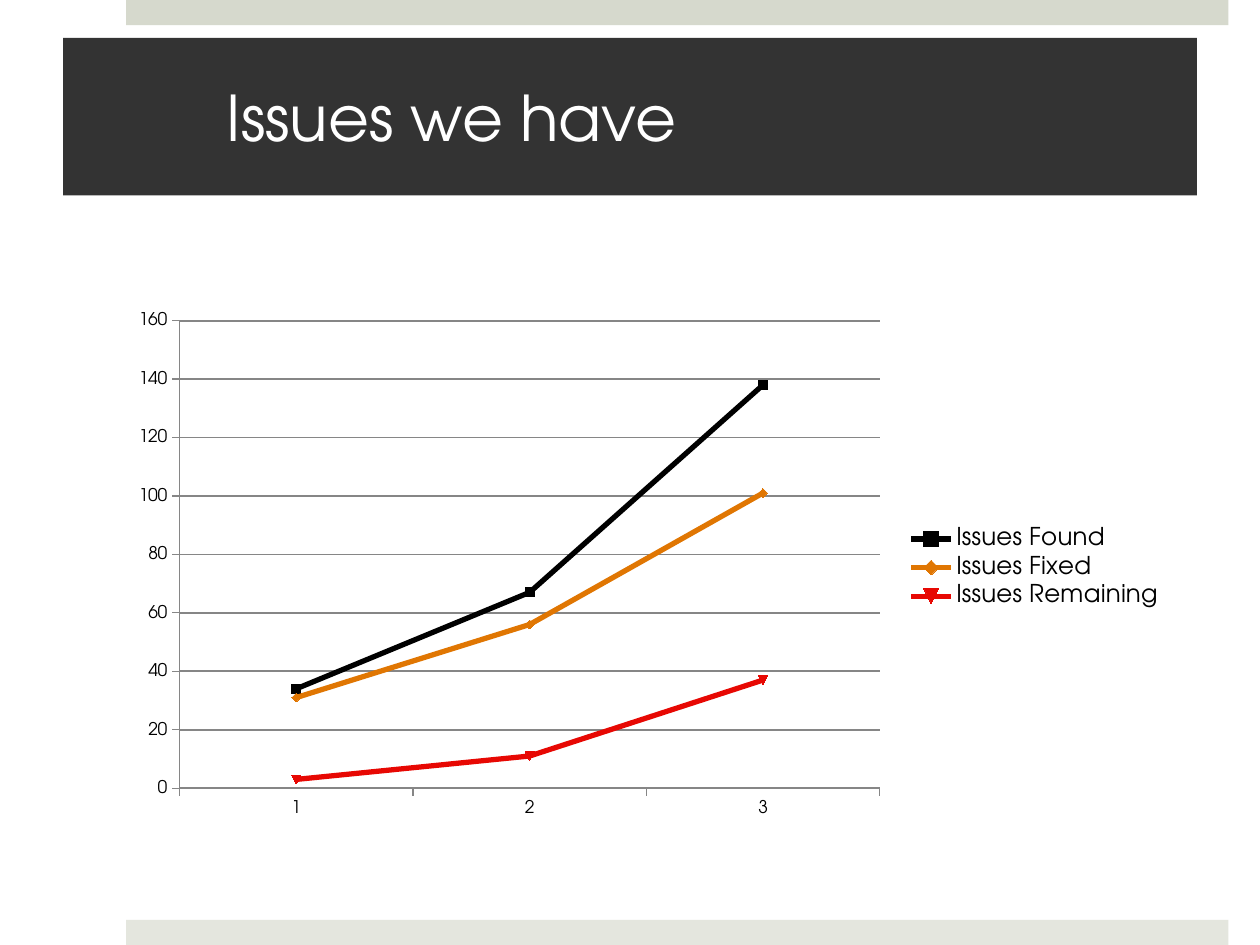
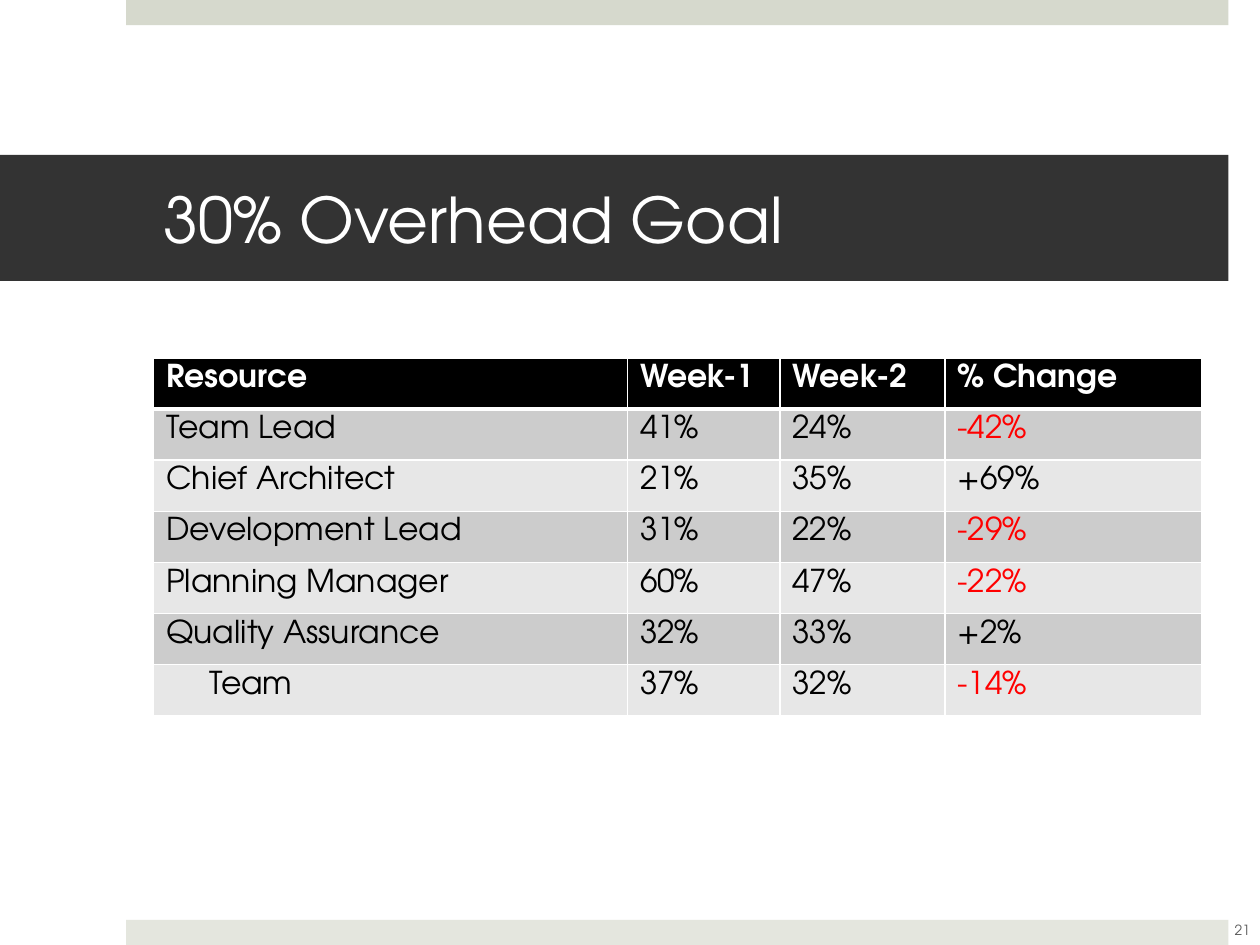
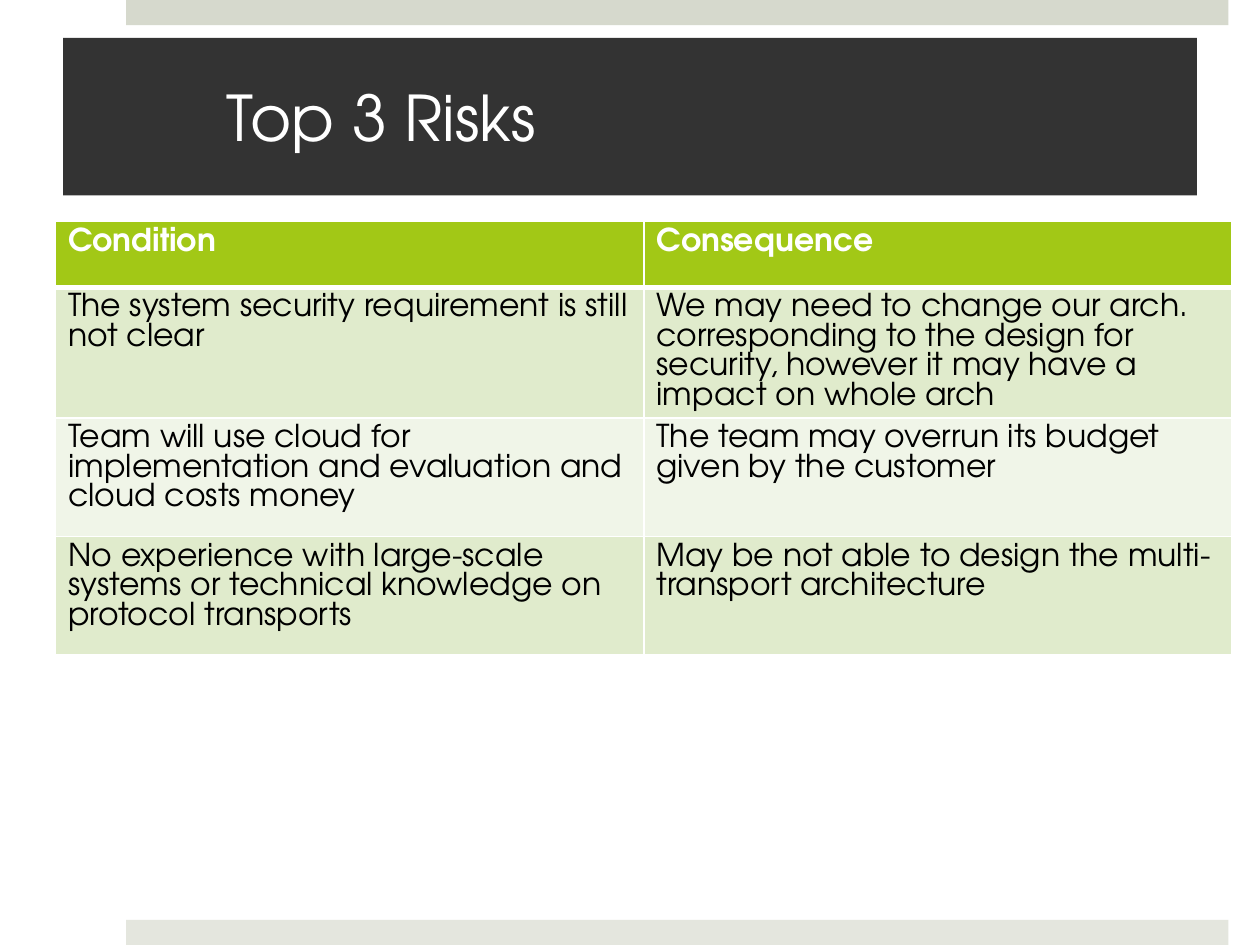
from dataclasses import dataclass

from lxml import etree
from pptx import Presentation, util as u
from pptx.chart import data as chart_data
from pptx.dml.color import RGBColor
from pptx.enum import chart as ec, shapes, text
from pptx.oxml import parse_xml
from pptx.oxml.ns import nsdecls, qn


@dataclass(frozen=True)
class Theme:
    font: str = "TeX Gyre Adventor"
    title_size: float = 36
    table_size: float = 18
    legend_size: float = 14
    axis_size: float = 10
    number_size: float = 8
    white: str = "FFFFFF"
    black: str = "000000"
    title_fill: str = "333333"
    top_band: str = "D6D9CD"
    bottom_band: str = "E4E6DE"
    number: str = "595959"
    grid: str = "868686"
    negative: str = "FF0000"
    fixed: str = "E07602"
    remaining: str = "E70803"


T = Theme()
WIDTH, HEIGHT = u.Inches(10), u.Inches(7.5)
COLUMNS, ROWS = 100, 75


@dataclass(frozen=True)
class Box:
    col: float
    row: float
    cols: float
    rows: float

    def emu(self) -> tuple:
        return across(self.col), down(self.row), across(self.cols), down(self.rows)


@dataclass(frozen=True)
class Band:
    box: Box
    color: str


@dataclass(frozen=True)
class TableStyle:
    header: str
    odd: str
    even: str


@dataclass(frozen=True)
class Trend:
    name: str
    values: tuple
    color: str


BANDS = (
    Band(Box(10, 0, 87.5, 2), T.top_band),
    Band(Box(10, 73, 87.5, 2), T.bottom_band),
)
TITLE_HIGH = Box(5, 3, 90, 12.5)
TITLE_LOW = Box(0, 12.3, 97.5, 10)
GREY = TableStyle(T.black, "CCCCCC", "E7E7E7")
GREEN = TableStyle("A2C816", "E0EBCC", "F0F5E8")

TRENDS = (
    Trend("Issues Found", (34, 67, 138), T.black),
    Trend("Issues Fixed", (31, 56, 101), T.fixed),
    Trend("Issues Remaining", (3, 11, 37), T.remaining),
)
OVERHEAD = (
    ("Resource", "Week-1", "Week-2", "% Change"),
    ("Team Lead", "41%", "24%", "-42%"),
    ("Chief Architect", "21%", "35%", "+69%"),
    ("Development Lead", "31%", "22%", "-29%"),
    ("Planning Manager", "60%", "47%", "-22%"),
    ("Quality Assurance", "32%", "33%", "+2%"),
    ("Team", "37%", "32%", "-14%"),
)
RISKS = (
    ("Condition", "Consequence"),
    ("The system security requirement is still not clear",
     "We may need to change our arch. corresponding to the design for security, "
     "however it may have a impact on whole arch"),
    ("Team will use cloud for implementation and evaluation and cloud costs money",
     "The team may overrun its budget given by the customer"),
    ("No experience with large-scale systems or technical knowledge on protocol transports",
     "May be not able to design the multi-transport architecture"),
)


def across(cols: float) -> int:
    return round(WIDTH * cols / COLUMNS)


def down(rows: float) -> int:
    return round(HEIGHT * rows / ROWS)


def rgb(color: str) -> RGBColor:
    return RGBColor.from_string(color)


def set_font(font, size: float, color: str, bold: bool = False) -> None:
    font.name, font.size, font.bold = T.font, u.Pt(size), bold
    font.color.rgb = rgb(color)


def add_run(p, words: str, size: float, color: str, bold: bool = False) -> None:
    r = p.add_run()
    r.text = words
    set_font(r.font, size, color, bold)


def add_band(s, band: Band) -> None:
    sp = s.shapes.add_shape(shapes.MSO_SHAPE.RECTANGLE, *band.box.emu())
    sp.shadow.inherit = False
    sp.fill.solid()
    sp.fill.fore_color.rgb = rgb(band.color)
    sp.line.fill.background()


def add_slide(prs, title: str, box: Box):
    s = prs.slides.add_slide(prs.slide_layouts[5])
    for band in BANDS:
        add_band(s, band)
    sp = s.shapes.title
    sp.left, sp.top, sp.width, sp.height = box.emu()
    sp.fill.solid()
    sp.fill.fore_color.rgb = rgb(T.title_fill)
    tf = sp.text_frame
    tf.word_wrap = True
    tf.vertical_anchor = text.MSO_ANCHOR.MIDDLE
    tf.margin_left, tf.margin_right = across(13), across(3)
    tf.margin_top = tf.margin_bottom = down(0.5)
    p = tf.paragraphs[0]
    p.alignment = text.PP_ALIGN.LEFT
    add_run(p, title, T.title_size, T.white)
    return s


def add_page_number(s, number: str) -> None:
    tf = s.shapes.add_textbox(*Box(96.1, 71.8, 5, 4).emu()).text_frame
    tf.word_wrap = True
    tf.vertical_anchor = text.MSO_ANCHOR.MIDDLE
    p = tf.paragraphs[0]
    p.alignment = text.PP_ALIGN.CENTER
    add_run(p, number, T.number_size, T.number)


def set_borders(cell, top: float, bottom: float) -> None:
    tc_pr = cell._tc.get_or_add_tcPr()
    widths = {"lnL": 1, "lnR": 1, "lnT": top, "lnB": bottom}
    for i, (tag, width) in enumerate(widths.items()):
        ln = etree.Element(qn(f"a:{tag}"), w=str(u.Pt(width)))
        fill = etree.SubElement(ln, qn("a:solidFill"))
        etree.SubElement(fill, qn("a:srgbClr"), val=T.white)
        tc_pr.insert(i, ln)


def add_table(s, box: Box, cols: tuple, rows: tuple, content: tuple, style: TableStyle):
    table = s.shapes.add_table(len(rows), len(cols), *box.emu()).table
    for column, width in zip(table.columns, cols):
        column.width = across(width)
    for i, (row, height) in enumerate(zip(table.rows, rows)):
        row.height = down(height)
        header = i == 0
        fill = style.header if header else style.odd if i % 2 else style.even
        for cell, words in zip(row.cells, content[i]):
            cell.fill.solid()
            cell.fill.fore_color.rgb = rgb(fill)
            set_borders(cell, 3 if i == 1 else 1, 3 if header else 1)
            color = T.white if header else T.negative if words.startswith("-") else T.black
            add_run(cell.text_frame.paragraphs[0], words, T.table_size, color, header)
    return table


def format_axis(axis) -> None:
    axis.major_tick_mark = ec.XL_TICK_MARK.OUTSIDE
    axis.minor_tick_mark = ec.XL_TICK_MARK.NONE
    axis.format.line.color.rgb = rgb(T.grid)
    axis.format.line.width = u.Pt(0.75)


def place_plot(chart, x: float, y: float, w: float, h: float) -> None:
    area = chart._chartSpace.chart.plotArea
    for old in area.findall(qn("c:layout")):
        area.remove(old)
    parts = "".join(f'<c:{k} val="{v}"/>' for k, v in zip("xywh", (x, y, w, h)))
    area.insert(0, parse_xml(
        f'<c:layout {nsdecls("c")}><c:manualLayout><c:layoutTarget val="inner"/>'
        f'<c:xMode val="edge"/><c:yMode val="edge"/>{parts}</c:manualLayout></c:layout>'))


def add_trend_chart(s, box: Box, categories: tuple, trends: tuple) -> None:
    data = chart_data.CategoryChartData()
    data.categories = categories
    for trend in trends:
        data.add_series(trend.name, trend.values)
    chart = s.shapes.add_chart(ec.XL_CHART_TYPE.LINE_MARKERS, *box.emu(), data).chart
    chart.has_title = False
    set_font(chart.font, T.axis_size, T.black)
    chart.has_legend = True
    chart.legend.position = ec.XL_LEGEND_POSITION.RIGHT
    chart.legend.include_in_layout = False
    set_font(chart.legend.font, T.legend_size, T.black)
    place_plot(chart, 0.06, 0.03, 0.66, 0.89)
    format_axis(chart.category_axis)
    axis = chart.value_axis
    format_axis(axis)
    axis.minimum_scale, axis.maximum_scale, axis.major_unit = 0, 160, 20
    axis.has_major_gridlines = True
    axis.major_gridlines.format.line.color.rgb = rgb(T.grid)
    axis.major_gridlines.format.line.width = u.Pt(1)
    plot = chart.plots[0]
    plot.vary_by_categories = False
    for series, trend in zip(plot.series, trends):
        series.smooth = False
        series.format.line.color.rgb = rgb(trend.color)
        series.format.line.width = u.Pt(3)
        marker = series.marker
        marker.style, marker.size = ec.XL_MARKER_STYLE.AUTOMATIC, 5
        marker.format.fill.solid()
        marker.format.fill.fore_color.rgb = rgb(trend.color)
        marker.format.line.color.rgb = rgb(trend.color)


def main() -> None:
    prs = Presentation()
    prs.slide_width, prs.slide_height = WIDTH, HEIGHT

    s = add_slide(prs, "Issues we have", TITLE_HIGH)
    add_trend_chart(s, Box(9.2, 24.2, 84.2, 41.7), ("1", "2", "3"), TRENDS)

    s = add_slide(prs, "30% Overhead Goal", TITLE_LOW)
    table = add_table(s, Box(12.2, 28.4, 83.2, 28.4), (37.6, 12.1, 13.1, 20.4),
                      (4.06,) * len(OVERHEAD), OVERHEAD, GREY)
    team = table.cell(len(OVERHEAD) - 1, 0).text_frame.paragraphs[0]
    team._p.get_or_add_pPr().set("marL", str(across(3.4)))
    add_page_number(s, "21")

    s = add_slide(prs, "Top 3 Risks", TITLE_HIGH)
    add_table(s, Box(4.4, 17.6, 93.4, 34.3), (46.7,) * 2, (5.2, 10.4, 9.4, 9.4), RISKS, GREEN)

    prs.save("out.pptx")


if __name__ == "__main__":
    main()
